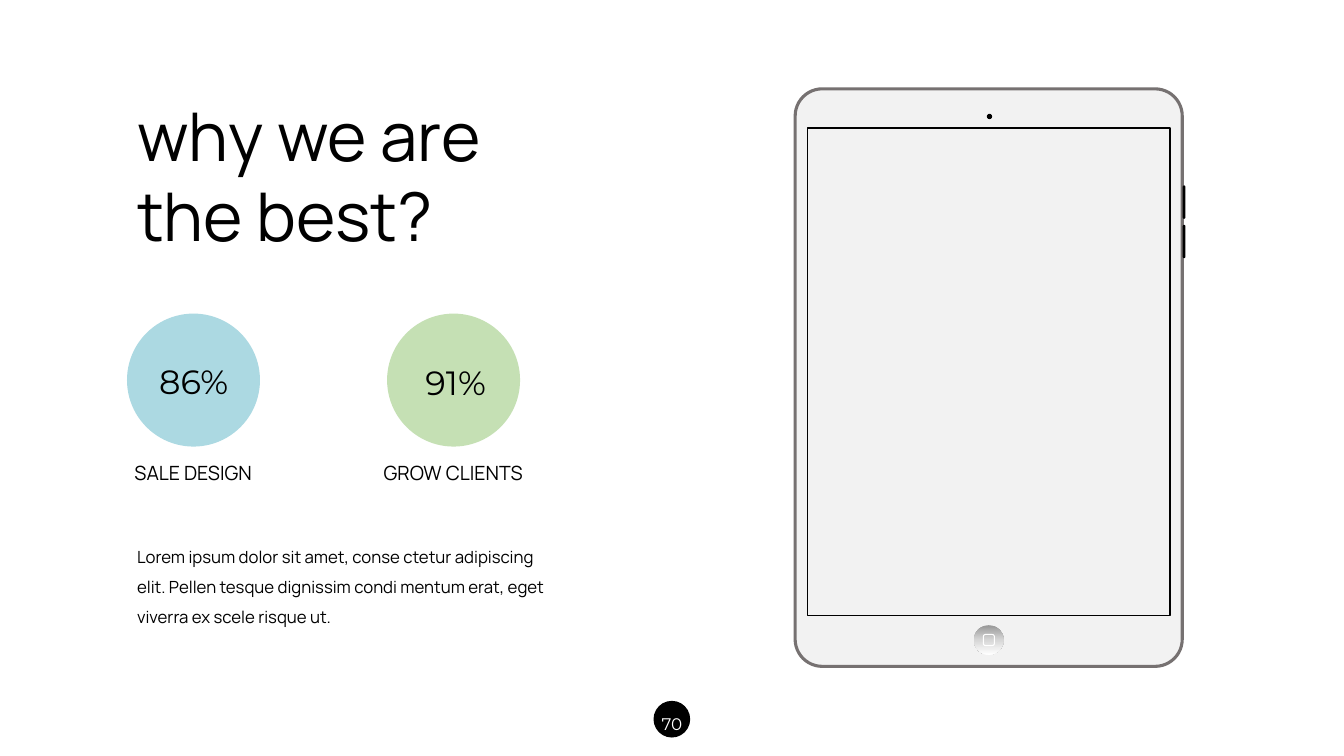
from copy import deepcopy
from dataclasses import dataclass

from pptx import Presentation
from pptx.dml.color import RGBColor
from pptx.enum import shapes, text
from pptx.oxml import ns, xmlchemy
from pptx.util import Pt


@dataclass(frozen=True)
class Theme:
    black: str = "000000"
    white: str = "FFFFFF"
    frame: str = "767171"
    screen: str = "F2F2F2"
    blue: str = "ACD9E2"
    green: str = "C5E0B4"
    button: tuple = ("979797", "D7D7D7", "FFFFFF")
    heading_font: str = "Manrope"
    number_font: str = "Montserrat"
    title: int = 48
    number: int = 24
    label: int = 14
    body: int = 12


theme = Theme()
LEFT, CENTER = text.PP_ALIGN.LEFT, text.PP_ALIGN.CENTER
OVAL = shapes.MSO_SHAPE.OVAL
ROUNDED = shapes.MSO_SHAPE.ROUNDED_RECTANGLE

presentation = Presentation()
presentation.slide_width, presentation.slide_height = Pt(960), Pt(540)
slide = presentation.slides.add_slide(presentation.slide_layouts[1])


def add_part(kind, box, fill=None, line=None, width=1, corner=None):
    """Add a preset shape; corner is the radius as a share of the short side."""
    shape = slide.shapes.add_shape(kind, *map(Pt, box))
    shape.shadow.inherit = False
    for paint, color in ((shape.fill, fill), (shape.line.fill, line)):
        if color:
            paint.solid()
            paint.fore_color.rgb = RGBColor.from_string(color)
        else:
            paint.background()
    if line:
        shape.line.width = Pt(width)
    if corner is not None:
        shape.adjustments[0] = corner
    return shape


def write(shape, box, words, size, font, color=theme.black, align=LEFT, spacing=1.0):
    """Place a text box or placeholder and fill it with plain paragraphs."""
    for side, value in zip(("left", "top", "width", "height"), box):
        setattr(shape, side, Pt(value))
    frame = shape.text_frame
    frame.text = words
    frame_format = {
        "word_wrap": True,
        "auto_size": text.MSO_AUTO_SIZE.NONE,
        "vertical_anchor": text.MSO_ANCHOR.TOP,
    }
    for name, value in frame_format.items():
        setattr(frame, name, value)
    paragraph_format = {"alignment": align, "line_spacing": spacing, "space_before": Pt(0)}
    for paragraph in frame.paragraphs:
        for name, value in paragraph_format.items():
            setattr(paragraph, name, value)
        for run in paragraph.runs:
            for name, value in {"name": font, "size": Pt(size)}.items():
                setattr(run.font, name, value)
            run.font.color.rgb = RGBColor.from_string(color)


# Tablet
add_part(ROUNDED, (568, 63.5, 276.5, 412.5), theme.screen, theme.frame, 2.2, 0.07)
add_part(OVAL, (704.9, 81.3, 3.8, 3.8), theme.black)
home_button = add_part(OVAL, (695.7, 446.6, 21.2, 21.2))
home_button.fill.gradient()
home_button.fill.gradient_angle = 270
first_stop = home_button.element.spPr.find(".//" + ns.qn("a:gs"))
first_stop.addnext(deepcopy(first_stop))
for index, stop in enumerate(home_button.fill.gradient_stops):
    stop.position = index / 2
    stop.color.rgb = RGBColor.from_string(theme.button[index])
add_part(ROUNDED, (702.4, 453.2, 7.9, 7.9), None, theme.white, 0.75, 0.2)
for index in range(2):
    add_part(ROUNDED, (844.8, 132.5 + 28.1 * index, 1.9, 23.8), theme.black, corner=0.5)
add_part(shapes.MSO_SHAPE.RECTANGLE, (576.7, 91.4, 259.2, 348.5), None, theme.black)

# Page number
add_part(OVAL, (467.3, 501.1, 25.2, 25.2), theme.black, theme.black)
write(slide.shapes.add_textbox(0, 0, 0, 0), (462, 499, 36, 26.6), "70",
      theme.body, theme.number_font, theme.white, CENTER, 1.5)

# Title and description
write(slide.shapes.title, (90.7, 63.4, 296, 123.8), "why we are\nthe best?",
      theme.title, theme.heading_font)
description = slide.placeholders[1]
write(description, (90.7, 379.4, 319, 72.7),
      "Lorem ipsum dolor sit amet, conse ctetur adipiscing elit. "
      "Pellen tesque dignissim condi mentum erat, eget viverra ex scele risque ut.",
      theme.body, theme.heading_font, spacing=1.5)
properties = description.text_frame.paragraphs[0]._p.get_or_add_pPr()
for name in ("marL", "indent"):
    properties.set(name, "0")
properties.append(xmlchemy.OxmlElement("a:buNone"))

# Figures: circle left, number left and top, value, label, colour
figures = (
    (90.7, 95.8, 254.2, "86%", "SALE DESIGN", theme.blue),
    (276.5, 283, 254.9, "91%", "GROW CLIENTS", theme.green),
)
for circle_left, number_left, number_top, value, label, color in figures:
    add_part(OVAL, (circle_left, 224, 95, 95), color)
    write(slide.shapes.add_textbox(0, 0, 0, 0), (number_left, number_top, 85, 36), value,
          theme.number, theme.number_font, align=CENTER)
    write(slide.shapes.add_textbox(0, 0, 0, 0), (circle_left - 14.2, 325.4, 123, 24.5), label,
          theme.label, theme.heading_font, align=CENTER)

presentation.save("out.pptx")
